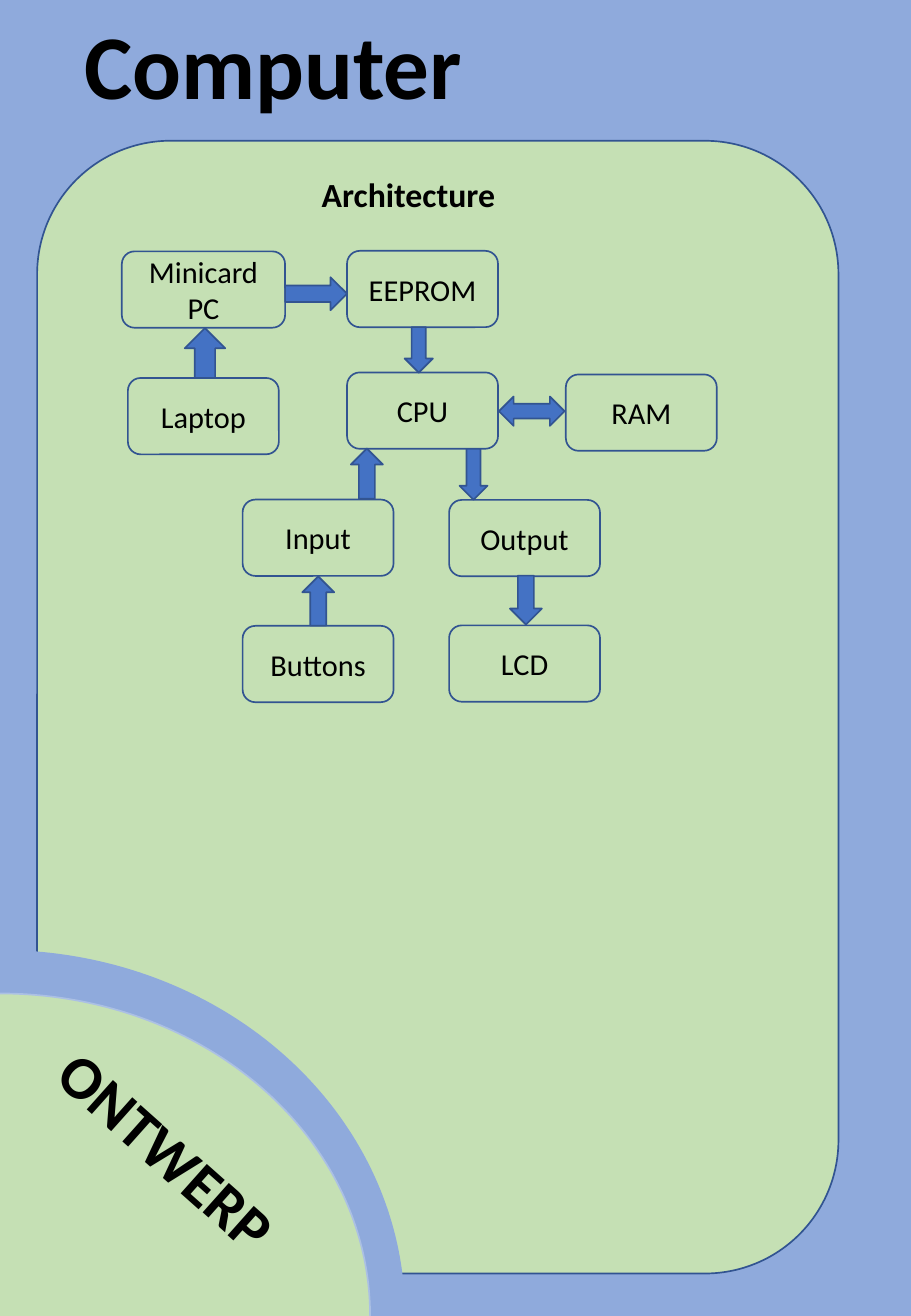
import pptx
import pptx.dml.color
import pptx.enum.shapes
import pptx.enum.text
import pptx.util

Pt = pptx.util.Pt
RGB = pptx.dml.color.RGBColor.from_string
MSO = pptx.enum.shapes.MSO_SHAPE
ALIGN = pptx.enum.text.PP_ALIGN
ANCHOR = pptx.enum.text.MSO_ANCHOR
AUTO = pptx.enum.text.MSO_AUTO_SIZE

COLORS = {
    "background": "8FAADC",
    "panel": "C5E0B4",
    "outline": "325491",
    "disc_edge": "ABC0E4",
    "arrow": "4472C4",
    "text": "000000",
}

prs = pptx.Presentation()
prs.slide_width, prs.slide_height = Pt(540), Pt(780.48)
s = prs.slides.add_slide(prs.slide_layouts[0])
s.background.fill.solid()
s.background.fill.fore_color.rgb = RGB(COLORS["background"])


def add_shape(kind, x, y, w, h, fill, line=None):
    sp = s.shapes.add_shape(kind, Pt(x), Pt(y), Pt(w), Pt(h))
    sp.shadow.inherit = False
    sp.fill.solid()
    sp.fill.fore_color.rgb = RGB(COLORS[fill])
    if line:
        sp.line.color.rgb = RGB(COLORS[line])
        sp.line.width = Pt(1)
    else:
        sp.line.fill.background()
    return sp


def write(tf, lines, size, align, bold=False):
    for i, line in enumerate(lines):
        p = tf.add_paragraph() if i else tf.paragraphs[0]
        p.alignment = align
        r = p.add_run()
        r.text = line
        r.font.name = "Calibri"
        r.font.size = Pt(size)
        r.font.bold = bold
        r.font.color.rgb = RGB(COLORS["text"])


# Title
title = s.shapes.title
title.left, title.top, title.width, title.height = Pt(43), Pt(0), Pt(486.7), Pt(83.5)
tf = title.text_frame
tf.auto_size = AUTO.NONE
tf.vertical_anchor = ANCHOR.MIDDLE
write(tf, ["Computer"], 54, ALIGN.LEFT, bold=True)
tf.paragraphs[0].line_spacing = 0.9
subtitle = s.placeholders[1].element
subtitle.getparent().remove(subtitle)

# Panel with the corner disc
add_shape(MSO.ROUNDED_RECTANGLE, 22, 83.5, 475, 671.8, "panel", "outline")
ring = add_shape(MSO.PIE, -216.7, 540, 433.4, 480.2, "background")
ring.rotation = 90
add_shape(MSO.OVAL, -219, 589.2, 438.4, 382.3, "panel", "disc_edge")

# Headings: text, x, y, width, height, size, rotation, alignment
headings = [
    ("ONTWERP", 13, 656.6, 172.8, 51.1, 36, 41.7, ALIGN.CENTER),
    ("Architecture", 183.6, 99.4, 146.2, 31.7, 20, 0, ALIGN.LEFT),
]
for text, x, y, w, h, size, rotation, align in headings:
    sp = s.shapes.add_textbox(Pt(x), Pt(y), Pt(w), Pt(h))
    sp.rotation = rotation
    tf = sp.text_frame
    tf.word_wrap = True
    tf.auto_size = AUTO.SHAPE_TO_FIT_TEXT
    write(tf, [text], size, align, bold=True)

# Components: lines, x, y, width
BOX_W, BOX_H = 89.5, 45.3
components = [
    (["Minicard", "PC"], 72.2, 149.1, 96.8),
    (["EEPROM"], 205.7, 148.8, BOX_W),
    (["Laptop"], 75.8, 224.2, BOX_W),
    (["CPU"], 205.7, 220.9, BOX_W),
    (["RAM"], 335.4, 222.1, BOX_W),
    (["Input"], 143.8, 296.3, BOX_W),
    (["Output"], 266.2, 296.5, BOX_W),
    (["Buttons"], 143.8, 371.2, BOX_W),
    (["LCD"], 266.2, 370.9, BOX_W),
]
for lines, x, y, w in components:
    sp = add_shape(MSO.ROUNDED_RECTANGLE, x, y, w, BOX_H, "panel", "outline")
    tf = sp.text_frame
    tf.vertical_anchor = ANCHOR.MIDDLE
    write(tf, lines, 18, ALIGN.CENTER)

# Data flow between the components
arrows = [
    (MSO.UP_ARROW, 109.5, 194.6, 24, 29.6),
    (MSO.RIGHT_ARROW, 169, 164.4, 36.7, 19.6),
    (MSO.DOWN_ARROW, 239.8, 194, 16.8, 27),
    (MSO.UP_ARROW, 208, 266, 19, 29.8),
    (MSO.DOWN_ARROW, 272.4, 266.2, 16.6, 30.2),
    (MSO.LEFT_RIGHT_ARROW, 295.8, 235.2, 38.9, 17.4),
    (MSO.UP_ARROW, 179.2, 341.9, 18.9, 29.2),
    (MSO.DOWN_ARROW, 302.3, 341.4, 18.9, 29),
]
for kind, x, y, w, h in arrows:
    add_shape(kind, x, y, w, h, "arrow", "outline")

prs.save("out.pptx")
